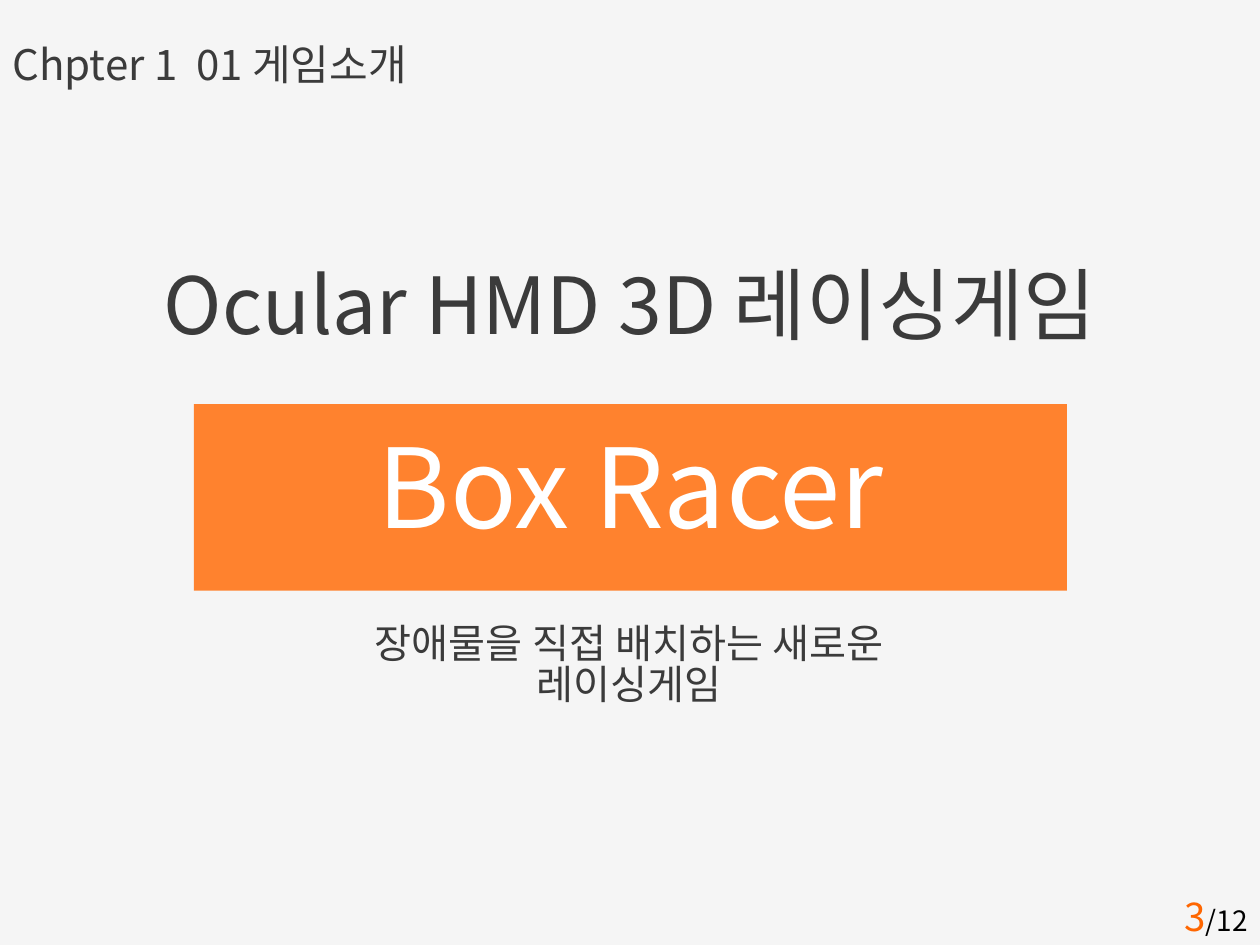
from dataclasses import dataclass

from lxml.etree import SubElement
from pptx import Presentation
from pptx.dml.color import RGBColor
from pptx.enum.shapes import MSO_SHAPE
from pptx.enum.text import MSO_ANCHOR, PP_ALIGN
from pptx.oxml.ns import qn
from pptx.slide import Slide
from pptx.text.text import Font
from pptx.util import Cm, Pt

FACE = "Noto Sans CJK KR"
HUES = {
    "back": "F5F5F5",
    "ink": "3B3B3B",
    "band": "FF822E",
    "page": "FF6600",
    "total": "000000",
    "white": "FFFFFF",
}
WIDE, HIGH = 25.4, 19.05


@dataclass
class Box:
    left: float
    top: float
    width: float
    height: float

    def frame(self) -> list[Cm]:
        return [Cm(v) for v in (self.left, self.top, self.width, self.height)]


@dataclass
class Label:
    text: str
    box: Box
    size: float
    hue: str = "ink"
    align: PP_ALIGN = PP_ALIGN.CENTER
    anchor: MSO_ANCHOR = MSO_ANCHOR.TOP
    pitch: float = 0.84


def color(hue: str) -> RGBColor:
    return RGBColor.from_string(HUES[hue])


def style(font: Font, size: float, hue: str) -> None:
    font.name, font.size = FACE, Pt(size)
    font.color.rgb = color(hue)


def asian(node) -> None:
    for latin in list(node.iter(qn("a:latin"))):
        SubElement(latin.getparent(), qn("a:ea"), typeface=FACE)


def write(slide: Slide, label: Label) -> None:
    shape = slide.shapes.add_textbox(*label.box.frame())
    frame = shape.text_frame
    frame.word_wrap = True
    frame.vertical_anchor = label.anchor
    para = frame.paragraphs[0]
    para.text, para.alignment = label.text, label.align
    para.line_spacing = label.pitch
    style(para.font, label.size, label.hue)
    asian(para._p)


def block(slide: Slide, box: Box, hue: str):
    shape = slide.shapes.add_shape(MSO_SHAPE.RECTANGLE, *box.frame())
    shape.shadow.inherit = False
    shape.fill.solid()
    shape.fill.fore_color.rgb = color(hue)
    shape.line.fill.background()
    return shape


def footer(slide: Slide, page: str, total: str) -> None:
    shape = block(slide, Box(0, 17.88, WIDE, 1.19), "back")
    para = shape.text_frame.paragraphs[0]
    para.alignment = PP_ALIGN.RIGHT
    for text, size, hue in ((page, 22, "page"), (f"/{total}", 16, "total")):
        run = para.add_run()
        run.text = text
        style(run.font, size, hue)
    asian(para._p)


LABELS = [
    Label("Chpter 1  01 게임소개", Box(0, 0.81, WIDE, 1.24), 24, align=PP_ALIGN.LEFT),
    Label("Ocular HMD 3D 레이싱게임", Box(0, 5.33, WIDE, 2.16), 45),
    Label("Box Racer", Box(3.91, 8.53, 17.6, 2.92), 63, "white", anchor=MSO_ANCHOR.MIDDLE),
    Label("장애물을 직접 배치하는 새로운 레이싱게임", Box(5.59, 12.5, 14.2, 1.22), 23),
]


def main() -> None:
    """Build the game introduction slide."""
    deck = Presentation()
    deck.slide_width, deck.slide_height = Cm(WIDE), Cm(HIGH)
    slide = deck.slides.add_slide(deck.slide_layouts[6])
    slide.background.fill.solid()
    slide.background.fill.fore_color.rgb = color("back")
    footer(slide, "3", "12")
    block(slide, Box(3.91, 8.15, 17.6, 3.76), "band")
    for label in LABELS:
        write(slide, label)
    deck.save("out.pptx")


if __name__ == "__main__":
    main()
